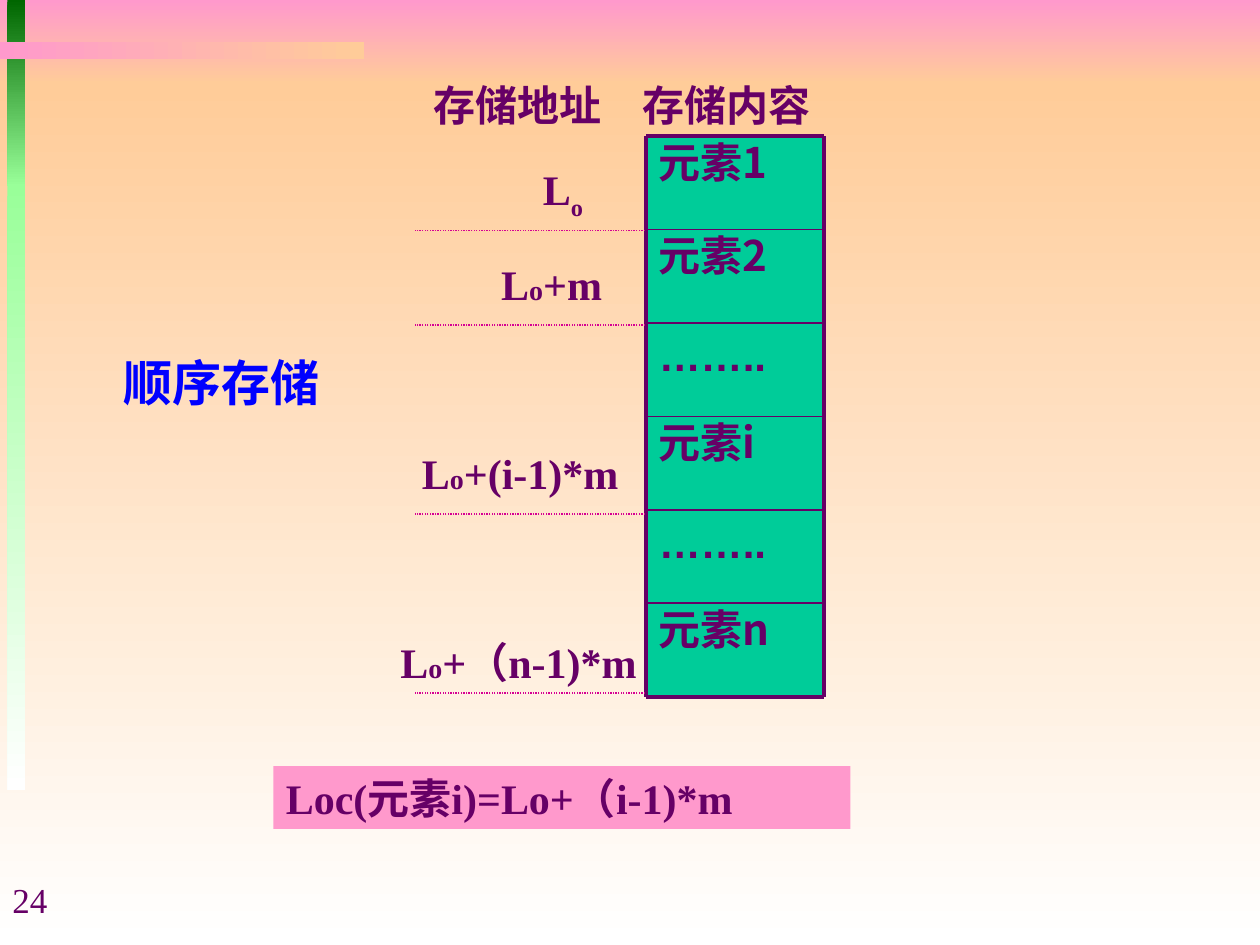
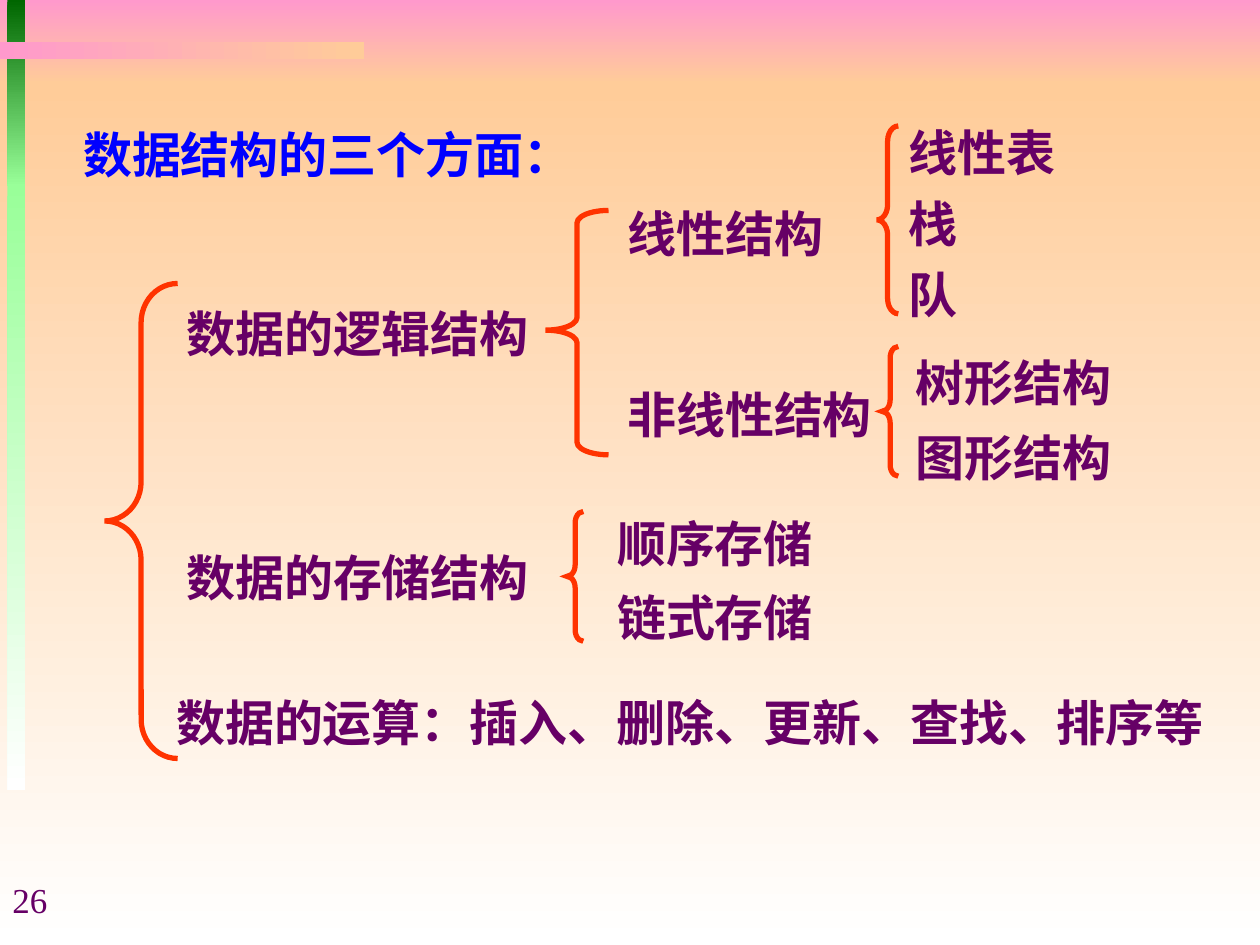
"""Build two slides on data structures: sequential storage and the three aspects."""
from dataclasses import dataclass

from lxml import etree
from pptx import Presentation
from pptx.dml.color import RGBColor
from pptx.enum.dml import MSO_LINE
from pptx.enum.lang import MSO_LANGUAGE_ID
from pptx.enum.shapes import MSO_CONNECTOR, MSO_SHAPE
from pptx.enum.text import MSO_ANCHOR, MSO_AUTO_SIZE, PP_ALIGN
from pptx.oxml.ns import qn
from pptx.util import Inches, Pt

RECTANGLE, LEFT_BRACE = MSO_SHAPE.RECTANGLE, MSO_SHAPE.LEFT_BRACE
STRAIGHT, DOTTED = MSO_CONNECTOR.STRAIGHT, MSO_LINE.ROUND_DOT
CHINESE = MSO_LANGUAGE_ID.SIMPLIFIED_CHINESE
TOP, LEFT, NO_FIT = MSO_ANCHOR.TOP, PP_ALIGN.LEFT, MSO_AUTO_SIZE.NONE


@dataclass(frozen=True)
class Theme:
    ink: str = "660066"
    heading: str = "0000FF"
    pink: str = "FF99CC"
    peach: str = "FFCC99"
    dark_green: str = "006600"
    light_green: str = "99FF99"
    white: str = "FFFFFF"
    cell: str = "00CC99"
    rule: str = "D60093"
    brace: str = "FF3300"
    serif: str = "Times New Roman"
    sans: str = "Arial"
    cjk: str = "Noto Sans CJK SC"
    large: int = 28
    text: int = 24
    small: int = 16
    number: int = 20


THEME = Theme()


def style(paragraph, size, color=THEME.ink, name=THEME.serif, bold=True):
    paragraph.alignment = LEFT
    font = paragraph.font
    font.size, font.bold, font.name = Pt(size), bold, name
    font.color.rgb = RGBColor.from_string(color)
    font.language_id = CHINESE


def add_label(slide, text, left, top, width, size=THEME.text, bold=True):
    label = slide.shapes.add_textbox(Inches(left), Inches(top), Inches(width), Inches(0.5))
    label.text_frame.word_wrap = True
    paragraph = label.text_frame.paragraphs[0]
    paragraph.text = text
    style(paragraph, size, bold=bold)
    return label


prs = Presentation()
prs.slide_width, prs.slide_height = Inches(10), Inches(7.5)
title_only = prs.slide_layouts[5]
storage = prs.slides.add_slide(title_only)
aspects = prs.slides.add_slide(title_only)

bands = [
    (0, 0, 10, 0.67, THEME.pink, THEME.peach, 270),
    (0, 0.67, 10, 6.83, THEME.peach, THEME.white, 270),
    (0.06, 0, 0.14, 1.48, THEME.dark_green, THEME.light_green, 270),
    (0.06, 1.46, 0.14, 4.81, THEME.light_green, THEME.white, 270),
    (0, 0.33, 2.89, 0.14, THEME.pink, THEME.peach, 0),
]
master_tree = prs.slide_master.shapes._spTree
for order, (left, top, width, height, start, end, angle) in enumerate(bands):
    band = storage.shapes.add_shape(
        RECTANGLE, Inches(left), Inches(top), Inches(width), Inches(height))
    band.shadow.inherit = False
    band.line.fill.background()
    band.fill.gradient()
    band.fill.gradient_angle = angle
    for stop, color in zip(band.fill.gradient_stops, (start, end)):
        stop.color.rgb = RGBColor.from_string(color)
    master_tree.insert(2 + order, band._element)

for slide, heading, left, top, width, number in [
    (storage, "顺序存储", 0.88, 2.75, 2, "24"),
    (aspects, "数据结构的三个方面：", 0.56, 0.94, 4.3, "26"),
]:
    title = slide.shapes.title
    title.left, title.top = Inches(left), Inches(top)
    title.width, title.height = Inches(width), Inches(0.57)
    frame = title.text_frame
    frame.text = heading
    frame.vertical_anchor, frame.auto_size, frame.word_wrap = TOP, NO_FIT, True
    style(frame.paragraphs[0], THEME.large, THEME.heading)
    add_label(slide, number, 0, 6.92, 0.7, THEME.number, bold=False)

elements = ["元素1", "元素2", "……..", "元素i", "……..", "元素n"]
memory_left, memory_right, memory_top, memory_bottom = 5.13, 6.54, 1.08, 5.53
pitch = (memory_bottom - memory_top) / len(elements)
for row, element in enumerate(elements):
    cell = storage.shapes.add_shape(
        RECTANGLE, Inches(memory_left), Inches(memory_top + row * pitch),
        Inches(memory_right - memory_left), Inches(pitch))
    cell.shadow.inherit = False
    cell.line.fill.background()
    cell.fill.solid()
    cell.fill.fore_color.rgb = RGBColor.from_string(THEME.cell)
    frame = cell.text_frame
    frame.text = element
    frame.vertical_anchor = TOP
    numbered = element.startswith("元素")
    frame.margin_top = Inches(0 if numbered else 0.05)
    style(frame.paragraphs[0], THEME.text, name=THEME.cjk if numbered else THEME.sans)

lines = []
for row in range(len(elements) + 1):
    edge = memory_top + row * pitch
    weight = 2.25 if row in (0, len(elements)) else 1
    lines.append((memory_left, edge, memory_right, edge, THEME.ink, weight, None))
for side in (memory_left, memory_right):
    lines.append((side, memory_top, side, memory_bottom, THEME.ink, 2.25, None))

add_label(storage, "存储地址", 3.34, 0.58, 1.71)
add_label(storage, "存储内容", 5, 0.58, 1.58)

for offset, left, top, width, rule_top in [
    ("", 4.21, 1.25, 0.83, 1.83),
    ("+m", 3.88, 2, 1.17, 2.58),
    ("+(i-1)*m", 3.25, 3.5, 2.13, 4.08),
    ("+（n-1)*m", 3.08, 5, 2.08, 5.5),
]:
    address = add_label(storage, "L", left, top, width).text_frame.paragraphs[0]
    origin = address.add_run()
    origin.text = "o"
    if offset:
        origin.font.size = Pt(THEME.small)
        address.add_run().text = offset
    else:
        origin.font._element.set("baseline", "-25000")
    lines.append((5.12, rule_top, 3.29, rule_top, THEME.rule, 0.75, DOTTED))

for start_x, start_y, end_x, end_y, color, weight, dash in lines:
    line = storage.shapes.add_connector(
        STRAIGHT, Inches(start_x), Inches(start_y), Inches(end_x), Inches(end_y))
    line.line.width, line.line.dash_style = Pt(weight), dash
    line.line.color.rgb = RGBColor.from_string(color)
    etree.SubElement(line._element.spPr, qn("a:effectLst"))

formula = add_label(storage, "Loc(元素i)=Lo+（i-1)*m", 2.17, 6.08, 4.58)
formula.fill.solid()
formula.fill.fore_color.rgb = RGBColor.from_string(THEME.pink)

for left, top, width, height, bend, tip in [
    (0.83, 2.25, 0.58, 3.77, 0.31, 0.5),
    (4.5, 4.06, 0.13, 1.03, 0.09, 0.5),
    (4.33, 1.67, 0.5, 1.94, 0.1, 0.49),
    (6.96, 1, 0.17, 1.49, 0.12, 0.5),
    (7, 2.75, 0.13, 1.03, 0.09, 0.5),
]:
    brace = aspects.shapes.add_shape(
        LEFT_BRACE, Inches(left), Inches(top), Inches(width), Inches(height))
    brace.shadow.inherit = False
    brace.fill.background()
    brace.line.width = Pt(3)
    brace.line.color.rgb = RGBColor.from_string(THEME.brace)
    etree.SubElement(brace._element.spPr.find(qn("a:ln")), qn("a:miter"), lim="800000")
    brace.adjustments[0] = bend / width
    brace.adjustments[1] = tip

for term, left, top in [
    ("数据的逻辑结构", 1.38, 2.36),
    ("数据的存储结构", 1.38, 4.3),
    ("数据的运算：插入、删除、更新、查找、排序等", 1.3, 5.45),
    ("线性结构", 4.88, 1.57),
    ("非线性结构", 4.88, 3),
    ("顺序存储", 4.8, 4.03),
    ("链式存储", 4.8, 4.61),
    ("线性表", 7.11, 0.92),
    ("栈", 7.11, 1.49),
    ("队", 7.11, 2.05),
    ("树形结构", 7.17, 2.75),
    ("图形结构", 7.17, 3.34),
]:
    add_label(aspects, term, left, top, 0.39 * len(term) + 0.3, THEME.large)

prs.save("out.pptx")
